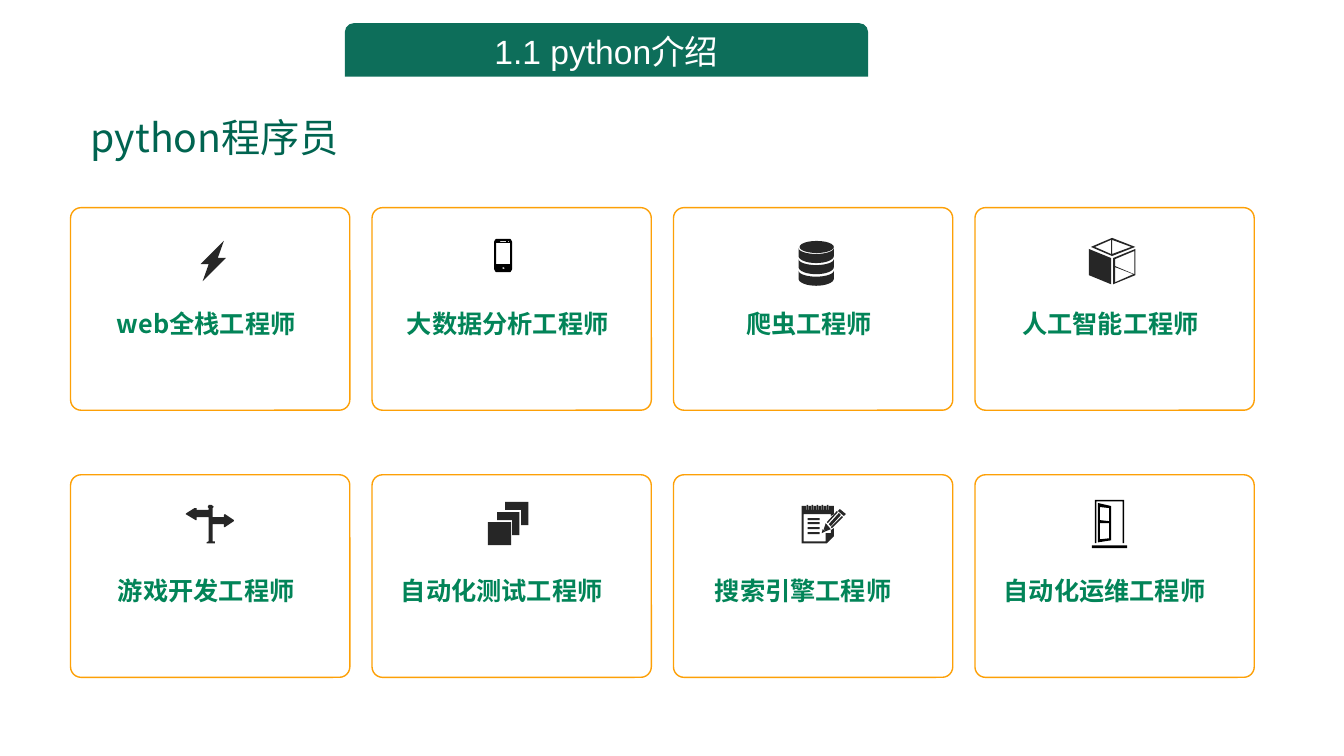
"""Build the slide of eight Python careers, each card with an icon and a label."""
from math import cos, pi, sin

from lxml.etree import SubElement
from pptx import Presentation
from pptx.dml.color import RGBColor
from pptx.enum.shapes import MSO_SHAPE as Preset
from pptx.enum.text import MSO_ANCHOR as Anchor, PP_ALIGN as Align
from pptx.oxml.ns import qn
from pptx.util import Inches, Pt

THEME = {
    "heading": "006450", "label": "028458", "banner": "0D6E5A", "banner_text": "FFFFFF",
    "border": "FDA007", "icon": "262626", "dark_icon": "000000",
    "latin": "Arial", "cjk": "Noto Sans CJK SC",
    "heading_size": 28, "banner_size": 24, "label_size": 18, "border_width": 1,
}
BANNER = "1.1 python介绍"
HEADING = "python程序员"


def disk_band(top):
    """Outline one curved database band, its upper edge starting at top."""
    def edge(y, depth):
        return [(17.5 * (1 - cos(pi * i / 16)), y + depth * sin(pi * i / 16)) for i in range(17)]
    return [edge(top, 6) + edge(top + 8, 7)[::-1]]


def binding_rings():
    """Outline the notepad's rings from right to left."""
    ring = [(0, 1), (0, 5), (0.5, 5), (0.5, 0), (2, 0), (2, 5), (2.5, 5), (2.5, 1)]
    return [(right - dx, y) for right in range(27, 6, -5) for dx, y in ring]


BOLT = [[[(23, 0), (0, 23), (8, 23), (2, 40), (25, 17), (17, 17)]]]
PHONE = [[
    [(1, 1), (2, 0), (16, 0), (17, 1), (18, 3), (18, 30), (17, 32), (16, 33),
     (2, 33), (1, 32), (0, 30), (0, 3)],
    [(2, 4), (16, 4), (16, 25), (2, 25)],
    [(6, 2), (12, 2), (12, 3), (6, 3)],
    [(14, 2), (15, 2), (15, 3), (14, 3)],
    [(8, 29), (9, 28), (11, 29), (9, 30)],
]]
DATABASE = [disk_band(top) for top in (18, 29.5, 7)] + [(Preset.OVAL, 1, 0, 34, 12)]
CUBE = [
    [[(24, 20), (24, 46), (46, 37), (46, 11)],
     [(45, 13), (45, 36), (26, 28), (26, 21)],
     [(26, 29), (44, 36), (26, 44)]],
    [[(0, 37), (22, 46), (22, 20), (0, 11)]],
    [[(23, 0), (2, 9), (23, 18), (46, 9)],
     [(23, 2), (42, 9), (23, 16)],
     [(22, 2), (22, 16), (6, 9)]],
]
SIGNPOST = [[[
    (48, 15), (39, 9), (38, 10), (38, 12), (27, 12), (27, 3), (28, 2), (26, 0), (23, 0),
    (22, 2), (23, 3), (23, 5), (11, 5), (11, 3), (9, 3), (1, 8), (0, 9), (10, 15), (11, 15),
    (11, 12), (23, 12), (23, 36), (21, 37), (21, 38), (29, 38), (29, 36), (27, 36), (27, 19),
    (38, 19), (38, 22), (39, 22), (48, 16),
]]]
STACK = [
    [[(9, 10), (31, 10), (31, 33), (24, 33), (24, 18), (9, 18)]],
    [[(17, 0), (40, 0), (40, 23), (33, 23), (33, 8), (17, 8)]],
    (Preset.RECTANGLE, 0, 20, 23, 23),
]
NOTEPAD = [
    [[(29, 22), (30, 23), (41, 12), (40, 11)]],
    [[(37, 8), (27, 19), (29, 21), (39, 10)]],
    [[(25, 17), (26, 18), (36, 7), (35, 6)]],
    [[(29, 24), (24, 18), (22, 24), (24, 26)]],
    [[(20, 28), (24, 26), (21, 24)]],
    [[(38, 4), (36, 6), (42, 11), (44, 9)]],
    [[(29, 28), (24, 28), (24, 36), (2, 36), (2, 9), (29, 9), (29, 11), (32, 9), (32, 1),
      *binding_rings(), (0, 1), (0, 38), (25, 38), (32, 31), (32, 23), (29, 25)]],
    *[(Preset.RECTANGLE, 6, y, 12, 2) for y in (13, 17, 22, 27)],
]
DOOR = [
    [[(3, 0), (32, 0), (32, 43), (30.5, 43), (30.5, 1.5), (4.5, 1.5), (4.5, 43), (3, 43)]],
    (Preset.RECTANGLE, 0, 45, 35, 3),
    [[(6, 3), (6, 42), (19, 40), (19, 6)],
     [(8, 7), (17, 8), (17, 21), (8, 20)],
     [(8, 23), (17, 23), (17, 38), (8, 39)]],
]

# label, its inset in the card, icon, icon offset in the card, icon colour
CAREERS = [
    ("web全栈工程师", 0.14, BOLT, (1.29, 0.33), "icon"),
    ("大数据分析工程师", 0.14, PHONE, (1.21, 0.31), "dark_icon"),
    ("爬虫工程师", 0.14, DATABASE, (1.24, 0.33), "icon"),
    ("人工智能工程师", 0.14, CUBE, (1.13, 0.3), "icon"),
    ("游戏开发工程师", 0.14, SIGNPOST, (1.14, 0.3), "icon"),
    ("自动化测试工程师", 0.08, STACK, (1.15, 0.27), "icon"),
    ("搜索引擎工程师", 0.08, NOTEPAD, (1.27, 0.3), "icon"),
    ("自动化运维工程师", 0.08, DOOR, (1.16, 0.25), "dark_icon"),
]
COLUMNS = 4
GRID_LEFT, GRID_TOP = 0.7, 2.06
COLUMN_PITCH, ROW_PITCH = 2.99, 2.65
CARD_WIDTH, CARD_HEIGHT = 2.77, 2.01


def color(role):
    return RGBColor.from_string(THEME[role])


def box(left, top, width, height):
    return [Inches(length) for length in (left, top, width, height)]


def paint(shape, role):
    shape.shadow.inherit = False
    shape.fill.solid()
    shape.fill.fore_color.rgb = color(role)
    shape.line.fill.background()


def write(shape, text, role, size, latin, align, bold=False):
    frame = shape.text_frame
    frame.word_wrap = True
    frame.vertical_anchor = Anchor.MIDDLE
    paragraph = frame.paragraphs[0]
    paragraph.alignment = align
    run = paragraph.add_run()
    run.text = text
    font = run.font
    font.size, font.bold, font.name = Pt(THEME[size]), bold, THEME[latin]
    font.color.rgb = color(role)
    SubElement(font._element, qn("a:ea")).set("typeface", THEME["cjk"])
    return paragraph


def draw_icon(shapes, parts, left, top, role):
    group = shapes.add_group_shape().shapes

    def place(point):
        return Inches(left + point[0] / 100), Inches(top + point[1] / 100)

    for part in parts:
        if isinstance(part, tuple):
            preset, x, y, width, height = part
            shape = group.add_shape(preset, *place((x, y)), Inches(width / 100), Inches(height / 100))
        else:
            outline = group.build_freeform(*place(part[0][0]), scale=1.0)
            for contour in part:
                start, *others = map(place, contour)
                if contour is not part[0]:
                    outline.move_to(*start)
                outline.add_line_segments(others, close=True)
            shape = outline.convert_to_shape()
        paint(shape, role)


def draw_card(shapes, index, career):
    label, label_inset, icon, (icon_x, icon_y), icon_role = career
    row, column = divmod(index, COLUMNS)
    left, top = GRID_LEFT + column * COLUMN_PITCH, GRID_TOP + row * ROW_PITCH
    card = shapes.add_shape(Preset.ROUNDED_RECTANGLE, *box(left, top, CARD_WIDTH, CARD_HEIGHT))
    card.adjustments[0] = 0.052
    card.shadow.inherit = False
    card.fill.background()
    card.line.color.rgb = color("border")
    card.line.width = Pt(THEME["border_width"])
    draw_icon(shapes, icon, left + icon_x, top + icon_y, icon_role)
    caption = shapes.add_textbox(*box(left + label_inset, top + 0.95, 2.41, 0.4))
    write(caption, label, "label", "label_size", "cjk", Align.CENTER, bold=True)


def main():
    deck = Presentation()
    deck.slide_width, deck.slide_height = Inches(13.33), Inches(7.5)
    slide = deck.slides.add_slide(deck.slide_layouts[5])
    shapes = slide.shapes
    heading = shapes.title
    heading.left, heading.top, heading.width, heading.height = box(0.8, 1.06, 5.61, 0.59)
    write(heading, HEADING, "heading", "heading_size", "cjk", Align.LEFT).line_spacing = 1.02
    for index, career in enumerate(CAREERS):
        draw_card(shapes, index, career)
    banner = shapes.add_shape(Preset.ROUND_2_SAME_RECTANGLE, *box(3.42, 0.23, 5.19, 0.53))
    paint(banner, "banner")
    write(banner, BANNER, "banner_text", "banner_size", "latin", Align.CENTER)
    deck.save("out.pptx")


if __name__ == "__main__":
    main()
